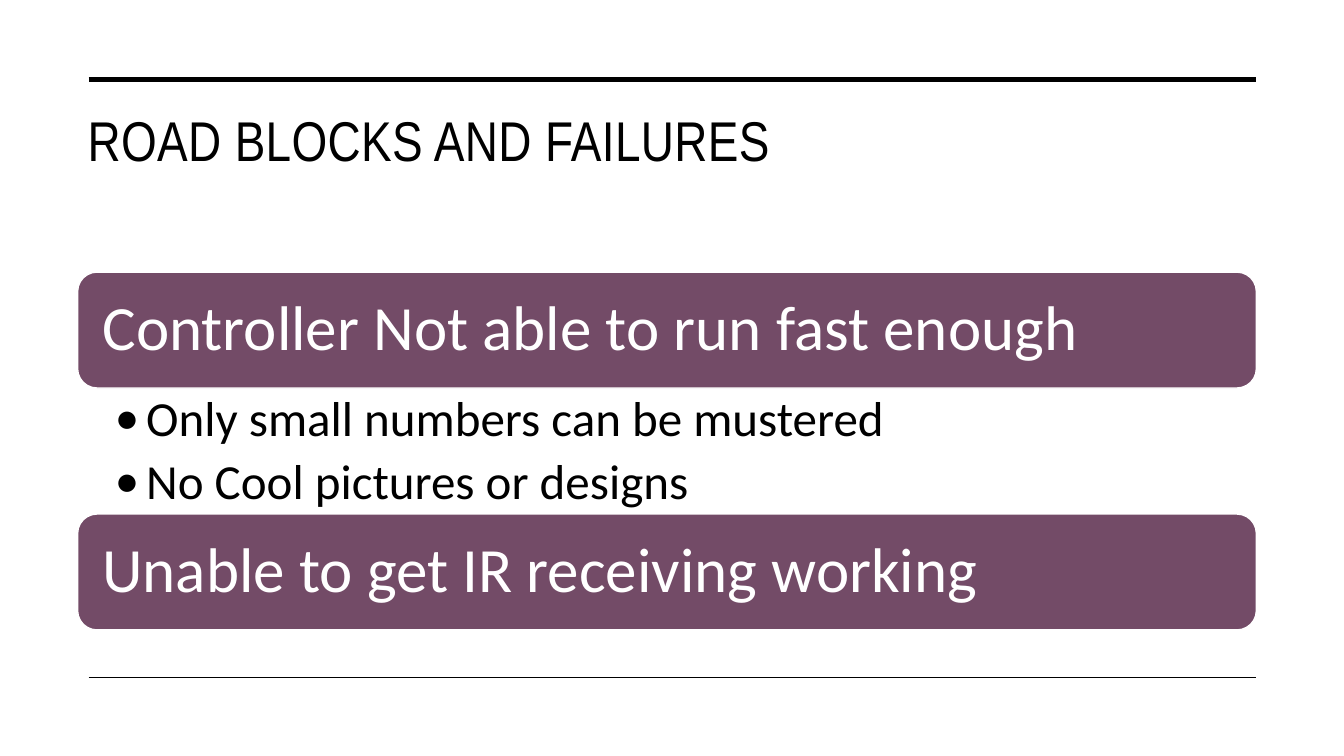
"""Build the slide on road blocks and failures."""
import pptx
import pptx.dml.color
import pptx.enum.shapes
import pptx.enum.text
import pptx.oxml.ns
import pptx.util
from lxml import etree

deck = pptx.Presentation()
deck.slide_width = pptx.util.Inches(13.33)
deck.slide_height = pptx.util.Inches(7.5)
page = deck.slides.add_slide(deck.slide_layouts[6])
column, row = deck.slide_width / 100, deck.slide_height / 100
left, wide = 5.78 * column, 87.7 * column
bar_tall, list_tall = 15.33 * row, 16.67 * row
first_bar = 36 * row


def paint(color_format, hex_string):
    """Set a colour from a hex string."""
    color_format.rgb = pptx.dml.color.RGBColor.from_string(hex_string)


def write(box, lines, size, font, color, frame_format, para_format):
    """Fill a box with left-aligned paragraphs and return them."""
    frame = box.text_frame
    frame.text = "\n".join(lines)
    for name, value in {"word_wrap": True, **frame_format}.items():
        setattr(frame, name, value)
    for para in frame.paragraphs:
        para.alignment = pptx.enum.text.PP_ALIGN.LEFT
        for name, value in para_format.items():
            setattr(para, name, value)
        span = para.runs[0]
        for name, value in {"size": pptx.util.Pt(size), "name": font}.items():
            setattr(span.font, name, value)
        paint(span.font.color, color)
    return frame.paragraphs


for rule_row, weight in ((10.53, 3.5), (89.6, 1)):
    height = int(rule_row * row)
    rule = page.shapes.add_connector(
        pptx.enum.shapes.MSO_CONNECTOR.STRAIGHT,
        int(6.6 * column), height, int(93.47 * column), height)
    rule.line.width = pptx.util.Pt(weight)
    paint(rule.line.color, "000000")
    etree.SubElement(rule.element.spPr, pptx.oxml.ns.qn("a:effectLst"))

title = page.shapes.add_textbox(int(left), int(13.33 * row), int(wide), int(19.07 * row))
title_para = write(title, ["ROAD BLOCKS AND FAILURES"], 40, "Arial Narrow", "000000", {}, {})[0]
title_para.runs[0].font._element.set("spc", "30")

bar_inset = pptx.util.Inches(0.19)
bar_frame = {
    "vertical_anchor": pptx.enum.text.MSO_ANCHOR.MIDDLE,
    "margin_left": bar_inset, "margin_right": bar_inset,
    "margin_top": bar_inset, "margin_bottom": bar_inset,
}
headings = ["Controller Not able to run fast enough", "Unable to get IR receiving working"]
for index, heading in enumerate(headings):
    top = first_bar + index * (bar_tall + list_tall)
    bar = page.shapes.add_shape(
        pptx.enum.shapes.MSO_SHAPE.ROUNDED_RECTANGLE,
        int(left), int(top), int(wide), int(bar_tall))
    bar.shadow.inherit = False
    bar.fill.solid()
    paint(bar.fill.fore_color, "734B67")
    paint(bar.line.color, "FFFFFF")
    bar.line.width = pptx.util.Pt(1)
    write(bar, [heading], 45, "Calibri", "FFFFFF", bar_frame, {"line_spacing": 0.9})

details = page.shapes.add_textbox(
    int(left), int(first_bar + bar_tall), int(wide), int(list_tall))
detail_frame = {
    "margin_left": pptx.util.Inches(0.37), "margin_right": pptx.util.Inches(0.35),
    "margin_top": pptx.util.Inches(0.06), "margin_bottom": pptx.util.Inches(0.06),
}
detail_lines = ["Only small numbers can be mustered", "No Cool pictures or designs"]
detail_format = {"level": 1, "line_spacing": 0.9, "space_after": pptx.util.Pt(7)}
hanging = pptx.util.Inches(0.31)
for para in write(details, detail_lines, 35, "Calibri", "000000", detail_frame, detail_format):
    properties = para._p.get_or_add_pPr()
    properties.set("marL", str(hanging))
    properties.set("indent", str(-hanging))
    etree.SubElement(properties, pptx.oxml.ns.qn("a:buFont"), typeface="Calibri")
    etree.SubElement(properties, pptx.oxml.ns.qn("a:buChar"), char="•")

deck.save("out.pptx")
